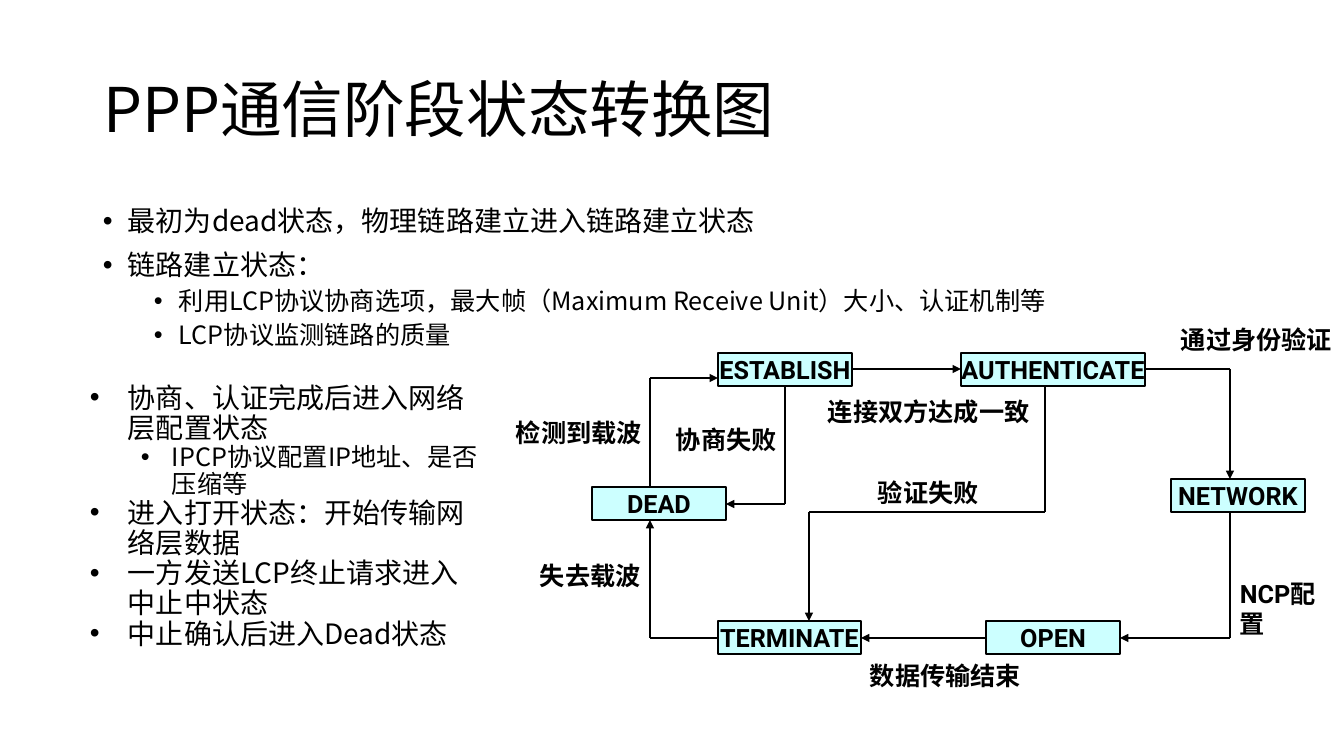
from itertools import pairwise
from lxml import etree
from pptx import Presentation
from pptx.dml.color import RGBColor
from pptx.enum.shapes import MSO_CONNECTOR, MSO_SHAPE
from pptx.enum.text import MSO_ANCHOR, MSO_AUTO_SIZE, PP_ALIGN
from pptx.oxml.ns import qn
from pptx.util import Emu, Pt

LINE = MSO_CONNECTOR.STRAIGHT
RECT = MSO_SHAPE.RECTANGLE
TOP, MIDDLE = MSO_ANCHOR.TOP, MSO_ANCHOR.MIDDLE
FIXED = MSO_AUTO_SIZE.NONE
LEFT, CENTER = PP_ALIGN.LEFT, PP_ALIGN.CENTER
BLACK = RGBColor(0, 0, 0)
CYAN = RGBColor(0xCC, 0xFF, 0xFF)
HAN, LATIN = "Noto Sans CJK SC", "Roboto"
SCALE = 914400 / 100.8
BOXW, BOXH = 134, 33

INTRO = [
    (0, "最初为dead状态，物理链路建立进入链路建立状态"),
    (0, "链路建立状态："),
    (1, "利用LCP协议协商选项，最大帧（Maximum Receive Unit）大小、认证机制等"),
    (1, "LCP协议监测链路的质量"),
]
STEPS = [
    (0, "协商、认证完成后进入网络层配置状态"),
    (1, "IPCP协议配置IP地址、是否压缩等"),
    (0, "进入打开状态：开始传输网络层数据"),
    (0, "一方发送LCP终止请求进入中止中状态"),
    (0, "中止确认后进入Dead状态"),
]
STATES = [
    ("ESTABLISH", 718, 353, BOXW),
    ("AUTHENTICATE", 961, 353, 184),
    ("DEAD", 592, 487, BOXW),
    ("TERMINATE", 718, 621, 143),
    ("OPEN", 986, 621, BOXW),
    ("NETWORK", 1171, 479, BOXW),
]
ROUTES = [
    [(650, 487), (650, 378), (718, 378)],
    [(852, 369), (961, 369)],
    [(1145, 369), (1230, 369), (1230, 479)],
    [(1230, 512), (1230, 638), (1120, 638)],
    [(986, 638), (861, 638)],
    [(718, 638), (650, 638), (650, 520)],
    [(785, 386), (785, 504), (726, 504)],
    [(1045, 386), (1045, 512), (809, 512), (809, 621)],
]
LABELS = [
    ("检测到载波", 506, 412, 153),
    ("协商失败", 666, 419, 122),
    ("连接双方达成一致", 818, 391, 244),
    ("通过身份验证", 1171, 319, 173),
    ("NCP配置", 1230, 573, 110),
    ("数据传输结束", 860, 655, 173),
    ("失去载波", 530, 555, 122),
    ("验证失败", 868, 472, 122),
]


def px(n):
    return Emu(round(n * SCALE))


def style(para, size, face=HAN, bold=False):
    font = para.font
    font.size, font.name, font.bold = Pt(size), face, bold
    font.color.rgb = BLACK
    props = para._p.pPr.find(qn("a:defRPr"))
    etree.SubElement(props, qn("a:ea")).set("typeface", HAN)


def bullet(para, left, hang):
    props = para._p.get_or_add_pPr()
    props.set("marL", str(px(left)))
    props.set("indent", str(-px(hang)))
    etree.SubElement(props, qn("a:buFont")).set("typeface", "Arial")
    etree.SubElement(props, qn("a:buChar")).set("char", "•")


def add_box(slide, x, y, w, h):
    frame = slide.shapes.add_textbox(px(x), px(y), px(w), px(h)).text_frame
    frame.word_wrap = True
    frame.vertical_anchor = TOP
    return frame


def add_title(slide, text):
    title = slide.shapes.title
    title.left, title.top, title.width, title.height = map(px, (93, 40, 1159, 146))
    frame = title.text_frame
    frame.text = text
    frame.auto_size = FIXED
    frame.vertical_anchor = MIDDLE
    para = frame.paragraphs[0]
    para.alignment = LEFT
    para.line_spacing = 0.9
    style(para, 44)


def add_list(slide, area, items, marks, gaps):
    frame = add_box(slide, *area)
    for i, (level, text) in enumerate(items):
        para = frame.add_paragraph() if i else frame.paragraphs[0]
        para.text = text
        para.level = level
        bullet(para, *marks[level])
        para.line_spacing = 0.9
        para.space_before = Pt(gaps[level])
        style(para, (20, 18)[level])


def add_state(slide, text, x, y, w):
    box = slide.shapes.add_shape(RECT, px(x), px(y), px(w), px(BOXH))
    box.shadow.inherit = False
    box.fill.solid()
    box.fill.fore_color.rgb = CYAN
    box.line.color.rgb = BLACK
    box.line.width = Pt(1)
    frame = box.text_frame
    frame.text = text
    frame.word_wrap = False
    frame.vertical_anchor = MIDDLE
    para = frame.paragraphs[0]
    para.alignment = CENTER
    style(para, 18, LATIN, True)


def add_route(slide, points):
    for start, end in pairwise(points):
        line = slide.shapes.add_connector(LINE, *map(px, start + end))
        line.line.color.rgb = BLACK
        line.line.width = Pt(1)
        props = line._element.spPr
        if end == points[-1]:
            etree.SubElement(props.find(qn("a:ln")), qn("a:tailEnd")).set("type", "triangle")
        etree.SubElement(props, qn("a:effectLst"))


def add_label(slide, text, x, y, w):
    frame = add_box(slide, x, y, w, 40)
    frame.text = text
    style(frame.paragraphs[0], 18, LATIN, True)


def main():
    deck = Presentation()
    deck.slide_width, deck.slide_height = px(1344), px(756)
    slide = deck.slides.add_slide(deck.slide_layouts[5])
    add_title(slide, "PPP通信阶段状态转换图")
    add_list(slide, (93, 202, 1182, 158), INTRO, [(25, 25), (76, 25)], (10, 5))
    for state in STATES:
        add_state(slide, *state)
    for route in ROUTES:
        add_route(slide, route)
    for label in LABELS:
        add_label(slide, *label)
    add_list(slide, (80, 379, 410, 279), STEPS, [(38, 38), (82, 31)], (0, 0))
    deck.save("out.pptx")


main()
